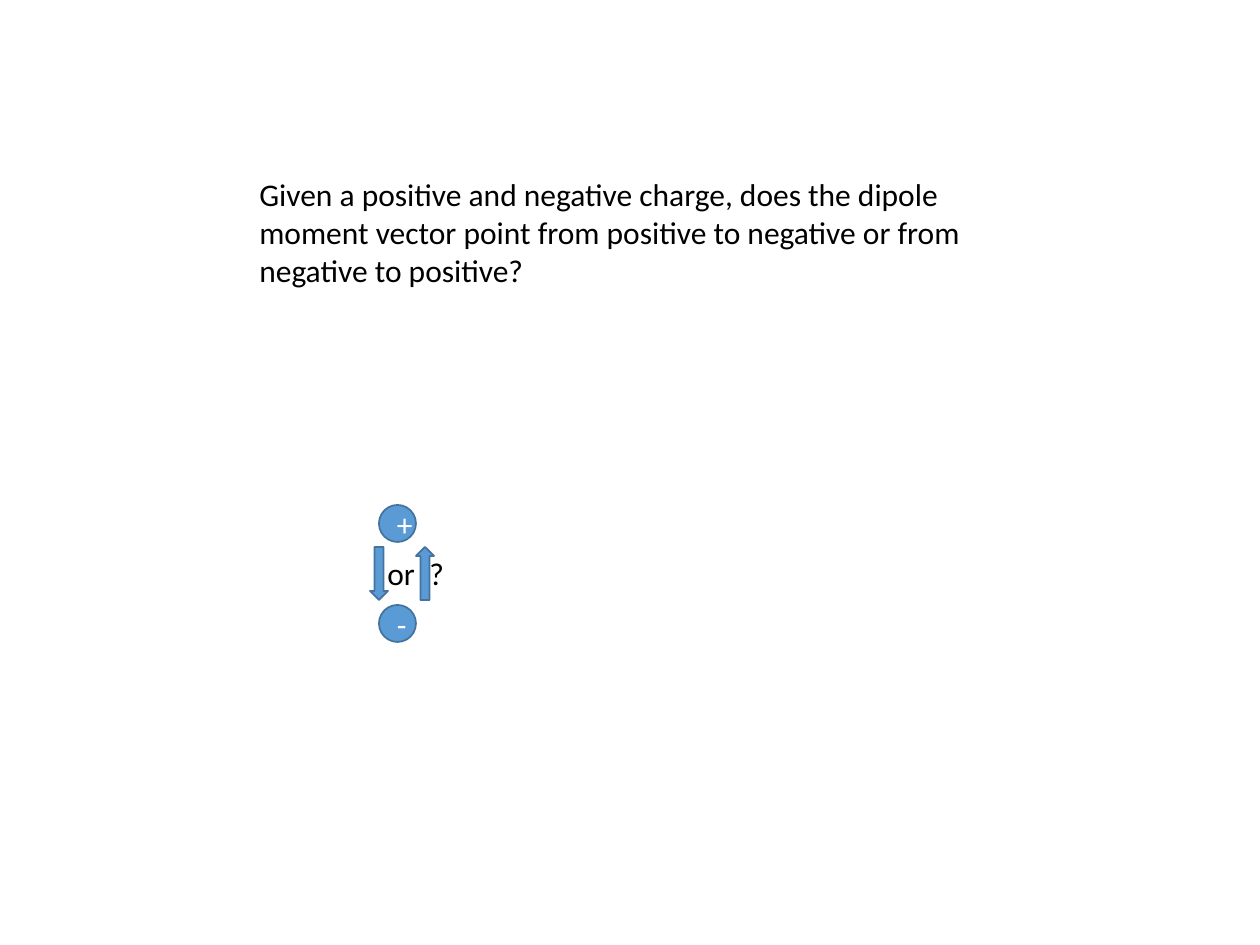
from dataclasses import dataclass

import pptx
import pptx.dml.color
import pptx.enum.shapes
import pptx.enum.text
import pptx.oxml
import pptx.oxml.ns
import pptx.util

EMU_PER_PIXEL = 914400 / 126
BLUE = pptx.dml.color.RGBColor(0x5B, 0x9B, 0xD5)
DARK_BLUE = pptx.dml.color.RGBColor(0x43, 0x73, 0x9E)
BLACK = pptx.dml.color.RGBColor(0, 0, 0)
WHITE = pptx.dml.color.RGBColor(255, 255, 255)
SHAPES = pptx.enum.shapes.MSO_SHAPE

CHARGE_SIZE = 37
ARROW_WIDTH = 18
ARROW_HEIGHT = 53


@dataclass(frozen=True)
class Box:
    left: int
    top: int
    width: int
    height: int

    def lengths(self) -> list[pptx.util.Emu]:
        return [emu(value) for value in (self.left, self.top, self.width, self.height)]


@dataclass(frozen=True)
class Figure:
    kind: SHAPES
    box: Box
    sign: str = ""


def emu(pixels: int) -> pptx.util.Emu:
    return pptx.util.Emu(round(pixels * EMU_PER_PIXEL))


def set_text(shape, text: str, color: pptx.dml.color.RGBColor) -> None:
    shape.text_frame.text = text
    for run in shape.text_frame.paragraphs[0].runs:
        run.font.name = "Calibri"
        run.font.size = pptx.util.Pt(18)
        run.font.color.rgb = color


def add_label(slide, box: Box, text: str, wrap: bool):
    label = slide.shapes.add_textbox(*box.lengths())
    label.text_frame.word_wrap = wrap
    label.text_frame.auto_size = pptx.enum.text.MSO_AUTO_SIZE.SHAPE_TO_FIT_TEXT
    set_text(label, text, BLACK)
    return label


def add_tab_stop(paragraph, position: int) -> None:
    namespace = pptx.oxml.ns.nsdecls("a")
    tab_list = pptx.oxml.parse_xml(
        f'<a:tabLst {namespace}><a:tab pos="{emu(position)}" algn="l"/></a:tabLst>'
    )
    paragraph._p.get_or_add_pPr().append(tab_list)


def add_figure(slide, figure: Figure) -> None:
    shape = slide.shapes.add_shape(figure.kind, *figure.box.lengths())
    shape.shadow.inherit = False
    shape.fill.solid()
    shape.fill.fore_color.rgb = BLUE
    shape.line.color.rgb = DARK_BLUE
    shape.line.width = pptx.util.Pt(1)
    if figure.sign:
        set_text(shape, figure.sign, WHITE)
        shape.text_frame.vertical_anchor = pptx.enum.text.MSO_ANCHOR.MIDDLE
        shape.text_frame.paragraphs[0].alignment = pptx.enum.text.PP_ALIGN.CENTER


FIGURES = [
    Figure(SHAPES.OVAL, Box(379, 505, CHARGE_SIZE, CHARGE_SIZE), "+"),
    Figure(SHAPES.OVAL, Box(379, 605, CHARGE_SIZE, CHARGE_SIZE), "-"),
    Figure(SHAPES.DOWN_ARROW, Box(370, 547, ARROW_WIDTH, ARROW_HEIGHT)),
    Figure(SHAPES.UP_ARROW, Box(416, 547, ARROW_WIDTH, ARROW_HEIGHT)),
]


def main() -> None:
    presentation = pptx.Presentation()
    presentation.slide_width = emu(1260)
    presentation.slide_height = emu(945)
    slide = presentation.slides.add_slide(presentation.slide_layouts[6])
    add_label(
        slide,
        Box(247, 169, 796, 127),
        "Given a positive and negative charge, does the dipole moment vector "
        "point from positive to negative or from negative to positive?",
        wrap=True,
    )
    for figure in FIGURES:
        add_figure(slide, figure)
    choice = add_label(slide, Box(375, 548, 83, 50), "or\t?", wrap=False)
    add_tab_stop(choice.text_frame.paragraphs[0], 42)
    presentation.save("out.pptx")


main()
